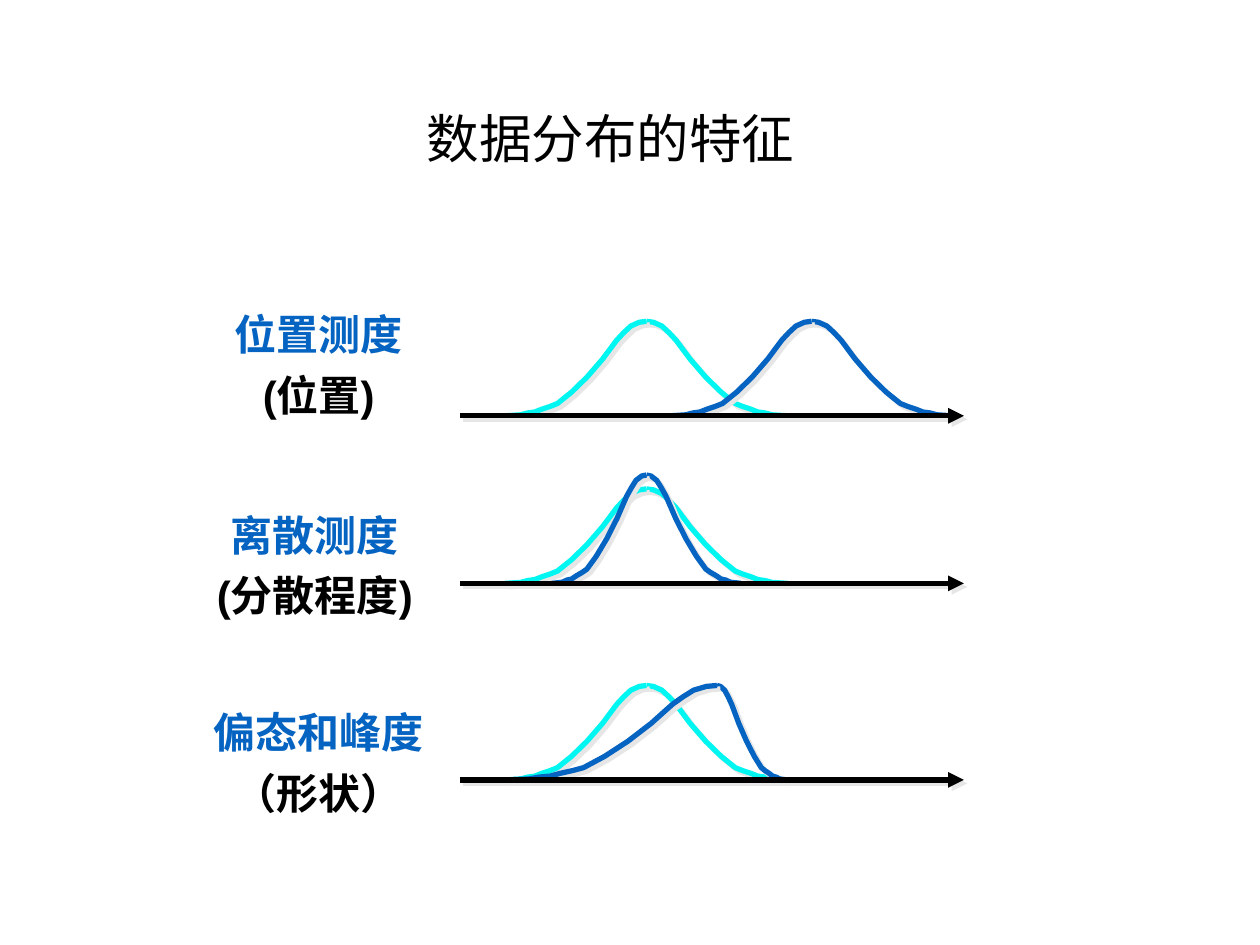
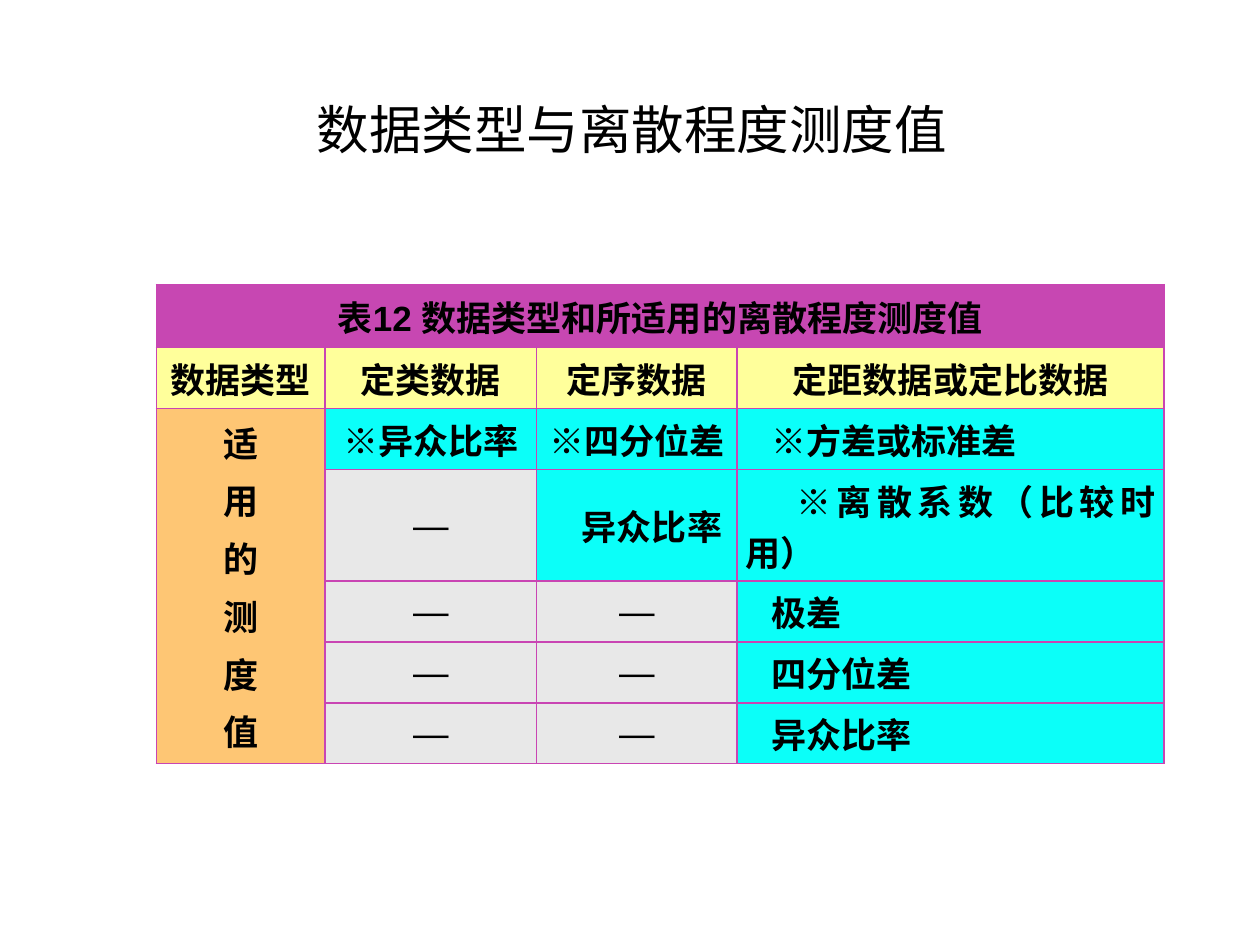
from dataclasses import dataclass

from lxml import etree
from pptx import Presentation
from pptx import util as u
from pptx.dml.color import RGBColor
from pptx.enum import shapes, text
from pptx.oxml.ns import qn


@dataclass(frozen=True)
class Theme:
    black: str = "000000"
    blue: str = "0563C1"
    aqua: str = "00F6F0"
    shadow: str = "E7E6E6"
    border: str = "C945B3"
    caption: str = "C747B2"
    header: str = "FFFF9B"
    side: str = "FEC674"
    used: str = "0BFFF9"
    unused: str = "E8E8E8"
    title_font: str = "Calibri"
    label_font: str = "Arial"
    table_font: str = "Times New Roman"
    title_size: int = 30
    label_size: int = 24
    table_size: int = 20


THEME = Theme()
INSETS = dict(margin_left=0.07, margin_right=0.07, margin_top=0.04, margin_bottom=0.04)

AXIS_LEFT, AXIS_RIGHT = 3.65, 7.65
PEAK, HALF_WIDTH, HEIGHT = 5.13, 1.12, 0.75
LABEL_HEIGHT = 1.08
BELL_PROFILE = [
    (0, 0), (0.11, 0.01), (0.16, 0.03), (0.21, 0.04), (0.26, 0.07), (0.32, 0.1),
    (0.37, 0.13), (0.47, 0.25), (0.58, 0.41), (0.69, 0.6), (0.74, 0.7),
    (0.79, 0.8), (0.84, 0.88), (0.89, 0.95), (0.95, 0.99), (1, 1),
]

FEATURES_TITLE = ("数据分布的特征", (1.94, 0.65, 5.81, 0.94))
FEATURES = [
    dict(name="位置测度", note="(位置)", label=(1.65, 2.41, 1.76), axis=3.3,
         curve=dict(peak=6.44, left=HALF_WIDTH, right=HALF_WIDTH, height=HEIGHT)),
    dict(name="离散测度", note="(分散程度)", label=(1.5, 4, 2), axis=4.63,
         curve=dict(peak=PEAK, left=0.75, right=0.75, height=0.86)),
    dict(name="偏态和峰度", note="（形状）", label=(1.56, 5.57, 1.94), axis=6.19,
         curve=dict(peak=5.69, left=1.68, right=0.56, height=HEIGHT)),
]

MEASURES_TITLE = ("数据类型与离散程度测度值", (1.64, 0.65, 6.75, 0.81))
TABLE_BOX = (1.24, 2.26, 8, 3.38)
COLUMNS = [1.34, 1.68, 1.59, 3.39]
ROWS = [0.5, 0.48, 0.45, 0.45, 0.45, 0.45, 0.4]
CAPTION = "表12 数据类型和所适用的离散程度测度值"
SIDE_HEADING = "\n".join("适用的测度值")
MEASURES = [
    [CAPTION, "", "", ""],
    ["数据类型", "定类数据", "定序数据", "定距数据或定比数据"],
    [SIDE_HEADING, "※异众比率", "※四分位差", "※方差或标准差"],
    ["", "—", "异众比率", "※离散系数（比较时用）"],
    ["", "—", "—", "极差"],
    ["", "—", "—", "四分位差"],
    ["", "—", "—", "异众比率"],
]
INDENTS = {(row, 3): dict(indent=0.2) for row in range(2, len(ROWS))}
INDENTS[3, 3] = dict(indent=0.4)
INDENTS[3, 2] = dict(marL=0.24)


def inches(values):
    return [u.Inches(value) for value in values]


def set_insets(target):
    for name, value in INSETS.items():
        setattr(target, name, u.Inches(value))


def set_font(font, family, size, color, bold):
    for name, value in dict(name=family, size=u.Pt(size), bold=bold).items():
        setattr(font, name, value)
    font.color.rgb = RGBColor.from_string(color)


def add_title_slide(presentation, title, box):
    slide = presentation.slides.add_slide(presentation.slide_layouts[5])
    shape = slide.shapes.title
    for name, value in zip(("left", "top", "width", "height"), inches(box)):
        setattr(shape, name, value)
    frame = shape.text_frame
    frame.text = title
    set_insets(frame)
    frame.vertical_anchor = text.MSO_ANCHOR.MIDDLE
    paragraph = frame.paragraphs[0]
    paragraph.alignment = text.PP_ALIGN.CENTER
    paragraph.line_spacing = 0.9
    set_font(paragraph.font, THEME.title_font, THEME.title_size, THEME.black, False)
    return slide


def style_stroke(shape, color):
    shape.line.color.rgb = RGBColor.from_string(color)
    shape.line.width = u.Pt(3)
    properties = shape._element.spPr
    effects = etree.SubElement(properties, qn("a:effectLst"))
    shadow = etree.SubElement(effects, qn("a:outerShdw"), blurRad="0",
                              dist=str(u.Pt(2.8)), dir=str(45 * 60000),
                              algn="ctr", rotWithShape="0")
    etree.SubElement(shadow, qn("a:srgbClr"), val=THEME.shadow)


def add_curve(group, axis, color, peak, left, right, height):
    for side in (right, -left):
        points = [inches((peak + side * (1 - x), axis - height * y))
                  for x, y in BELL_PROFILE]
        builder = group.shapes.build_freeform(*points[0])
        builder.add_line_segments(points[1:], close=False)
        shape = builder.convert_to_shape()
        shape.fill.background()
        style_stroke(shape, color)


def add_axis(group, axis):
    connector = group.shapes.add_connector(
        shapes.MSO_CONNECTOR.STRAIGHT, *inches((AXIS_LEFT, axis, AXIS_RIGHT, axis)))
    style_stroke(connector, THEME.black)
    etree.SubElement(connector.line._get_or_add_ln(), qn("a:tailEnd"), type="triangle")


def add_label(group, name, note, place):
    frame = group.shapes.add_textbox(*inches((*place, LABEL_HEIGHT))).text_frame
    set_insets(frame)
    frame.word_wrap = True
    frame.text = f"{name}\n{note}"
    for paragraph, color in zip(frame.paragraphs, (THEME.blue, THEME.black)):
        paragraph.alignment = text.PP_ALIGN.CENTER
        set_font(paragraph.font, THEME.label_font, THEME.label_size, color, True)
    frame.paragraphs[1].space_before = u.Pt(6)


def add_feature(slide, feature):
    group = slide.shapes.add_group_shape()
    axis = feature["axis"]
    add_label(group, feature["name"], feature["note"], feature["label"])
    add_curve(group, axis, THEME.aqua, PEAK, HALF_WIDTH, HALF_WIDTH, HEIGHT)
    add_curve(group, axis, THEME.blue, **feature["curve"])
    add_axis(group, axis)


def cell_fill(row, column):
    if row == 0:
        return THEME.caption
    if row == 1:
        return THEME.header
    if column == 0:
        return THEME.side
    return THEME.unused if MEASURES[row][column] == "—" else THEME.used


def set_borders(cell):
    properties = cell._tc.get_or_add_tcPr()
    for position, edge in enumerate(("lnL", "lnR", "lnT", "lnB")):
        line = etree.Element(qn(f"a:{edge}"), w=str(u.Pt(1)))
        fill = etree.SubElement(line, qn("a:solidFill"))
        etree.SubElement(fill, qn("a:srgbClr"), val=THEME.border)
        properties.insert(position, line)


def format_cell(cell, row, column):
    cell.text = MEASURES[row][column]
    set_insets(cell)
    cell.vertical_anchor = text.MSO_ANCHOR.MIDDLE
    cell.fill.solid()
    cell.fill.fore_color.rgb = RGBColor.from_string(cell_fill(row, column))
    set_borders(cell)
    justified = row > 1 and column == 3
    family = THEME.label_font if row == 0 else THEME.table_font
    for index, paragraph in enumerate(cell.text_frame.paragraphs):
        paragraph.alignment = (text.PP_ALIGN.JUSTIFY if justified
                               else text.PP_ALIGN.CENTER)
        if index:
            paragraph.space_before = u.Pt(4)
        for name, value in INDENTS.get((row, column), {}).items():
            paragraph._p.get_or_add_pPr().set(name, str(u.Inches(value)))
        set_font(paragraph.font, family, THEME.table_size, THEME.black, True)


def add_measures_table(slide):
    table = slide.shapes.add_table(len(ROWS), len(COLUMNS), *inches(TABLE_BOX)).table
    table.first_row = table.horz_banding = False
    for column, width in zip(table.columns, COLUMNS):
        column.width = u.Inches(width)
    for row, height in zip(table.rows, ROWS):
        row.height = u.Inches(height)
    for row in range(len(ROWS)):
        for column in range(len(COLUMNS)):
            format_cell(table.cell(row, column), row, column)
    table.cell(0, 0).merge(table.cell(0, len(COLUMNS) - 1))
    table.cell(2, 0).merge(table.cell(len(ROWS) - 1, 0))


def main():
    presentation = Presentation()
    presentation.slide_width, presentation.slide_height = inches((10, 7.5))
    features_slide = add_title_slide(presentation, *FEATURES_TITLE)
    for feature in FEATURES:
        add_feature(features_slide, feature)
    add_measures_table(add_title_slide(presentation, *MEASURES_TITLE))
    presentation.save("out.pptx")


if __name__ == "__main__":
    main()
